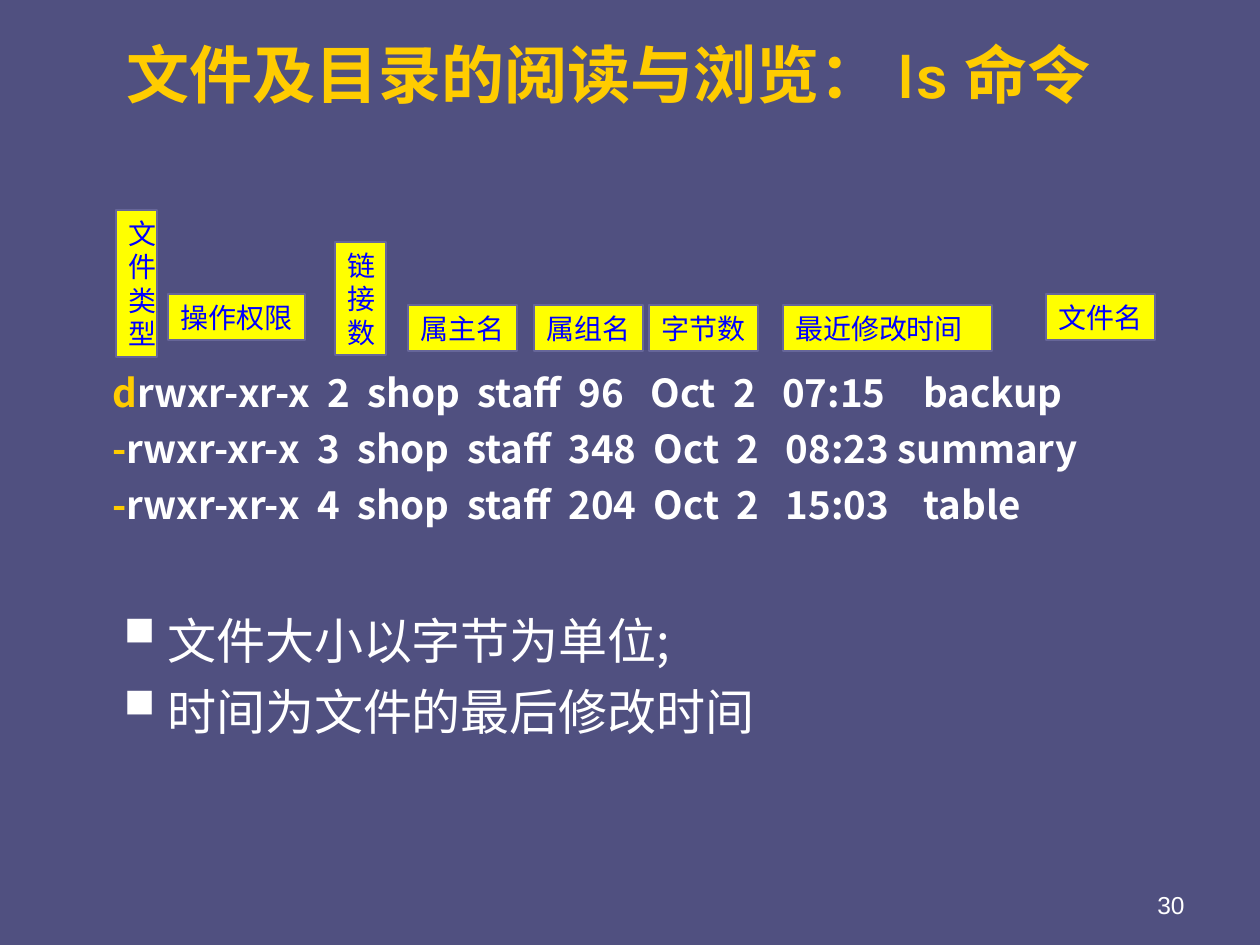
from dataclasses import dataclass

from lxml import etree
from pptx import Presentation
from pptx.dml.color import RGBColor
from pptx.enum.shapes import MSO_SHAPE
from pptx.enum.text import MSO_ANCHOR, MSO_AUTO_SIZE, PP_ALIGN
from pptx.oxml.ns import qn
from pptx.util import Pt

RECTANGLE = MSO_SHAPE.RECTANGLE
TOP, MIDDLE, BOTTOM = MSO_ANCHOR.TOP, MSO_ANCHOR.MIDDLE, MSO_ANCHOR.BOTTOM
LEFT, CENTER, RIGHT = PP_ALIGN.LEFT, PP_ALIGN.CENTER, PP_ALIGN.RIGHT
GROW = MSO_AUTO_SIZE.SHAPE_TO_FIT_TEXT

EMU_PER_PX = 914400 / 126
LINE_HEIGHT = 1.2
BODY_INDENT, BODY_HANGING, NAME_TAB = 102, 55, 756
BODY_FONT = "Noto Sans CJK SC"
COLORS = {
    "background": "505080",
    "accent": "FFCC00",
    "text": "FFFFFF",
    "label_fill": "FFFF00",
    "label_line": "666699",
    "label_text": "0000FF",
}


@dataclass(frozen=True)
class Style:
    font: str
    size: int
    color: str
    bold: bool = False


@dataclass(frozen=True)
class Box:
    left: int
    top: int
    width: int
    height: int


@dataclass(frozen=True)
class Label:
    text: str
    box: Box
    wrap: bool = False


@dataclass(frozen=True)
class FileEntry:
    kind: str
    details: str


TITLE = Style("Karla", 36, "accent", True)
NUMBER = Style("Arial", 14, "text")
LABEL = Style("Times New Roman", 16, "label_text")
KIND = Style(BODY_FONT, 22, "accent", True)
DETAILS = Style(BODY_FONT, 22, "text", True)
NOTE = Style(BODY_FONT, 28, "text")

LABELS = [
    Label("属主名", Box(408, 305, 109, 46)),
    Label("属组名", Box(534, 305, 109, 46)),
    Label("操作权限", Box(168, 294, 137, 46)),
    Label("链接数", Box(335, 242, 51, 113), True),
    Label("最近修改时间", Box(783, 305, 209, 46), True),
    Label("字节数", Box(649, 305, 109, 46)),
    Label("文件类型", Box(116, 210, 41, 147), True),
    Label("文件名", Box(1046, 294, 109, 46)),
]
ENTRIES = [
    FileEntry("d", "rwxr-xr-x  2  shop  staff  96   Oct  2   07:15\tbackup"),
    FileEntry("-", "rwxr-xr-x  3  shop  staff  348  Oct  2   08:23 summary"),
    FileEntry("-", "rwxr-xr-x  4  shop  staff  204  Oct  2   15:03\ttable"),
]
NOTES = ["文件大小以字节为单位;", "时间为文件的最后修改时间"]


def px(length: int) -> int:
    return round(length * EMU_PER_PX)


def place(box: Box) -> list[int]:
    return [px(value) for value in (box.left, box.top, box.width, box.height)]


def color(name: str) -> RGBColor:
    return RGBColor.from_string(COLORS[name])


def add_run(paragraph, text: str, style: Style) -> None:
    run = paragraph.add_run()
    run.text = text
    run.font.name = style.font
    run.font.size = Pt(style.size)
    run.font.bold = style.bold
    run.font.color.rgb = color(style.color)


def add_text_box(slide, box: Box, anchor=TOP):
    frame = slide.shapes.add_textbox(*place(box)).text_frame
    frame.word_wrap = True
    frame.vertical_anchor = anchor
    return frame


def add_line(slide, box: Box, text: str, style: Style, anchor, alignment) -> None:
    paragraph = add_text_box(slide, box, anchor).paragraphs[0]
    paragraph.alignment = alignment
    add_run(paragraph, text, style)


def add_label(slide, label: Label) -> None:
    shape = slide.shapes.add_shape(RECTANGLE, *place(label.box))
    shape.shadow.inherit = False
    shape.fill.solid()
    shape.fill.fore_color.rgb = color("label_fill")
    shape.line.color.rgb = color("label_line")
    shape.line.width = Pt(0.75)
    frame = shape.text_frame
    frame.word_wrap = label.wrap
    frame.auto_size = GROW
    frame.vertical_anchor = TOP
    paragraph = frame.paragraphs[0]
    paragraph.alignment = LEFT
    paragraph.line_spacing = Pt(LABEL.size * LINE_HEIGHT)
    add_run(paragraph, label.text, LABEL)


def add_body_paragraph(frame, first: bool, size: int, space_before: float):
    paragraph = frame.paragraphs[0] if first else frame.add_paragraph()
    paragraph.line_spacing = Pt(size * LINE_HEIGHT)
    paragraph.space_before = Pt(space_before)
    properties = paragraph._p.get_or_add_pPr()
    properties.set("marL", str(px(BODY_INDENT)))
    properties.set("indent", str(-px(BODY_HANGING)))
    return paragraph


def add_bullet(paragraph) -> None:
    properties = paragraph._p.get_or_add_pPr()
    bullet_color = etree.SubElement(properties, qn("a:buClr"))
    etree.SubElement(bullet_color, qn("a:srgbClr"), val=COLORS["text"])
    etree.SubElement(properties, qn("a:buSzPct"), val="150000")
    etree.SubElement(properties, qn("a:buChar"), char="▪")


def add_name_tab(paragraph) -> None:
    tabs = etree.SubElement(paragraph._p.get_or_add_pPr(), qn("a:tabLst"))
    etree.SubElement(tabs, qn("a:tab"), pos=str(px(NAME_TAB)), algn="l")


def add_body(slide) -> None:
    frame = add_text_box(slide, Box(53, 220, 1166, 640))
    frame.margin_top = px(149)
    for index, entry in enumerate(ENTRIES):
        paragraph = add_body_paragraph(frame, index == 0, DETAILS.size, 5.5 if index else 0)
        add_name_tab(paragraph)
        add_run(paragraph, entry.kind, KIND)
        add_run(paragraph, entry.details, DETAILS)
    for index, note in enumerate(NOTES):
        paragraph = add_body_paragraph(frame, False, NOTE.size, 7 if index else 47.6)
        add_bullet(paragraph)
        add_run(paragraph, note, NOTE)


def main() -> None:
    """Build the slide that explains the columns of a long ls listing."""
    presentation = Presentation()
    presentation.slide_width = px(1260)
    presentation.slide_height = px(945)
    slide = presentation.slides.add_slide(presentation.slide_layouts[6])
    slide.background.fill.solid()
    slide.background.fill.fore_color.rgb = color("background")
    add_line(slide, Box(903, 861, 294, 65), "30", NUMBER, BOTTOM, RIGHT)
    add_line(slide, Box(73, 21, 1071, 105), "文件及目录的阅读与浏览： ls 命令", TITLE, MIDDLE, CENTER)
    add_body(slide)
    for label in LABELS:
        add_label(slide, label)
    presentation.save("out.pptx")


if __name__ == "__main__":
    main()
